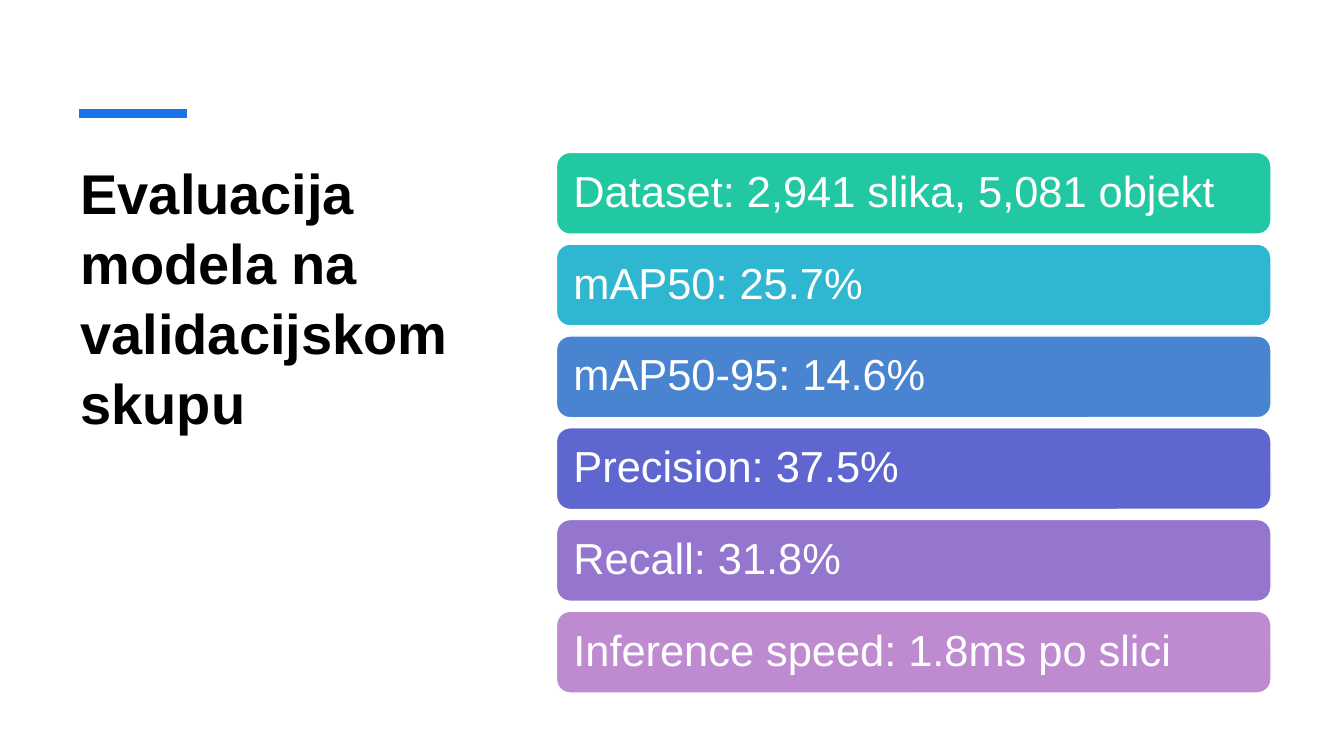
"""Build a slide listing the validation metrics of a detection model."""
from dataclasses import dataclass

from lxml.etree import SubElement
from pptx import Presentation
from pptx.dml.color import RGBColor
from pptx.enum.shapes import MSO_CONNECTOR as Connector, MSO_SHAPE as Shape
from pptx.enum.text import MSO_ANCHOR as Anchor, PP_ALIGN as Align
from pptx.oxml.ns import qn
from pptx.util import Pt

TITLE = "Evaluacija modela na validacijskom skupu"
METRICS = [
    ("Dataset: 2,941 slika, 5,081 objekt", "22C8A1"),
    ("mAP50: 25.7%", "2FB7D1"),
    ("mAP50-95: 14.6%", "4884D0"),
    ("Precision: 37.5%", "5F66CF"),
    ("Recall: 31.8%", "9476CF"),
    ("Inference speed: 1.8ms po slici", "BE8BD1"),
]


@dataclass(frozen=True)
class Theme:
    """Colours, font and type sizes."""
    font: str = "Arial"
    title_size: float = 40
    metric_size: float = 31
    ink: str = "000000"
    white: str = "FFFFFF"
    accent: str = "1973EB"


THEME = Theme()
BAR_LEFT, BAR_TOP, BAR_WIDTH, BAR_HEIGHT = 397.5, 108.9, 510.4, 58.4
BAR_PITCH = 65.55
ACCENT_LEFT, ACCENT_RIGHT, ACCENT_Y = 56.4, 133.4, 81.2


def write_text(shape, text, *, size, color, bold=False, spacing=1.0,
               anchor=Anchor.TOP, margins=(7.2, 3.6)):
    """Put one formatted paragraph into a shape."""
    frame = shape.text_frame
    frame.word_wrap = True
    frame.vertical_anchor = anchor
    frame.margin_left = frame.margin_right = Pt(margins[0])
    frame.margin_top = frame.margin_bottom = Pt(margins[1])
    paragraph = frame.paragraphs[0]
    paragraph.alignment = Align.LEFT
    paragraph.line_spacing = spacing
    run = paragraph.add_run()
    run.text = text
    run.font.name = THEME.font
    run.font.size = Pt(size)
    run.font.bold = bold
    run.font.color.rgb = RGBColor.from_string(color)


def add_title(slide):
    """Add the heading and the accent line above it."""
    title = slide.shapes.add_textbox(Pt(50.4), Pt(108), Pt(289.4), Pt(308.9))
    write_text(title, TITLE, size=THEME.title_size, color=THEME.ink,
               bold=True, spacing=1.04, margins=(7.2, 3.6))
    accent = slide.shapes.add_connector(
        Connector.STRAIGHT, Pt(ACCENT_LEFT), Pt(ACCENT_Y),
        Pt(ACCENT_RIGHT), Pt(ACCENT_Y))
    accent.line.color.rgb = RGBColor.from_string(THEME.accent)
    accent.line.width = Pt(6)
    SubElement(accent.line._get_or_add_ln().getparent(), qn("a:effectLst"))


def add_metric(slide, index, text, color):
    """Add one rounded bar at its place in the column."""
    bar = slide.shapes.add_shape(
        Shape.ROUNDED_RECTANGLE, Pt(BAR_LEFT), Pt(BAR_TOP + index * BAR_PITCH),
        Pt(BAR_WIDTH), Pt(BAR_HEIGHT))
    bar.shadow.inherit = False
    bar.fill.solid()
    bar.fill.fore_color.rgb = RGBColor.from_string(color)
    bar.line.color.rgb = RGBColor.from_string(THEME.white)
    bar.line.width = Pt(1)
    write_text(bar, text, size=THEME.metric_size, color=THEME.white,
               spacing=0.9, anchor=Anchor.MIDDLE, margins=(9.3, 9.3))


def main():
    """Build and save the slide."""
    presentation = Presentation()
    presentation.slide_width, presentation.slide_height = Pt(960), Pt(540)
    slide = presentation.slides.add_slide(presentation.slide_layouts[6])
    add_title(slide)
    for index, (text, color) in enumerate(METRICS):
        add_metric(slide, index, text, color)
    presentation.save("out.pptx")


if __name__ == "__main__":
    main()
